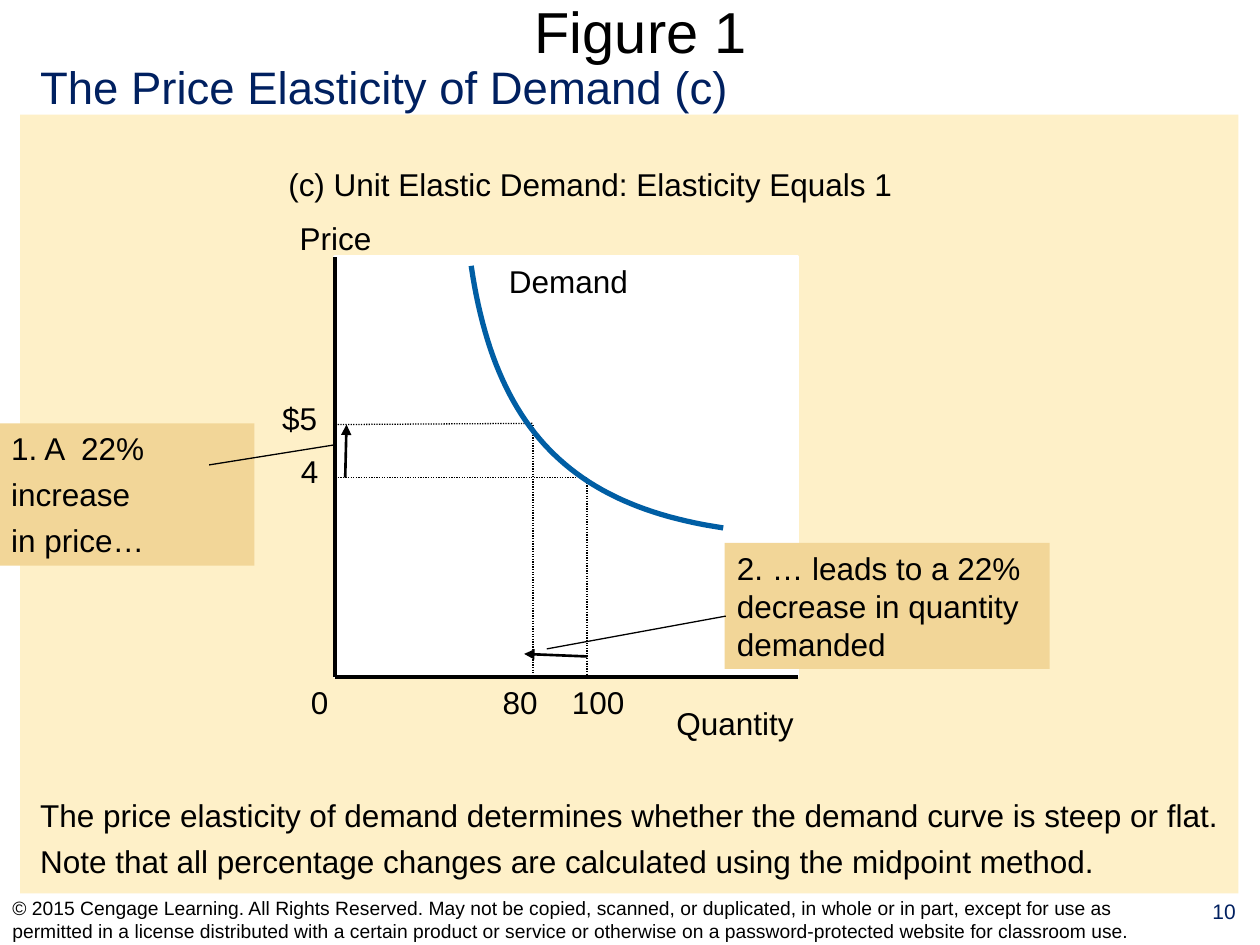
from lxml.etree import SubElement
from pptx import Presentation
from pptx.dml.color import RGBColor
from pptx.enum.dml import MSO_LINE_DASH_STYLE as Dash
from pptx.enum.shapes import MSO_CONNECTOR as Connector, MSO_SHAPE as Shape
from pptx.enum.text import MSO_ANCHOR as Anchor, PP_ALIGN as Align
from pptx.oxml.ns import qn
from pptx.util import Inches, Pt

COLORS = {
    "panel": "FEF0C8", "callout": "F2D698", "plot": "FFFFFF",
    "ink": "000000", "navy": "002060", "curve": "005EA4",
}

presentation = Presentation()
presentation.slide_width, presentation.slide_height = Inches(10), Inches(7.5)
slide = presentation.slides.add_slide(presentation.slide_layouts[6])
shapes = slide.shapes
column = presentation.slide_width / 100
row = presentation.slide_height / 75


def place(x, y):
    return round(x * column), round(y * row)


def write(shape, lines, size=18, color="ink", align=Align.LEFT, anchor=Anchor.TOP, wrap=False):
    frame = shape.text_frame
    frame_format = {
        "word_wrap": wrap, "vertical_anchor": anchor,
        "margin_left": Inches(0.1), "margin_right": Inches(0.1),
        "margin_top": Inches(0.05), "margin_bottom": Inches(0.05),
    }
    for name, value in frame_format.items():
        setattr(frame, name, value)
    for index, line in enumerate(lines):
        paragraph = frame.add_paragraph() if index else frame.paragraphs[0]
        paragraph.alignment = align
        if index:
            paragraph.space_before = Pt(4.5)
        run = paragraph.add_run()
        run.text = line
        for name, value in {"name": "Arial", "size": Pt(size)}.items():
            setattr(run.font, name, value)
        run.font.color.rgb = RGBColor.from_string(COLORS[color])


origin_x, origin_y = 26.6, 53.7
axis_top, axis_right = 20.4, 63.3
price_high, price_low = 33.7, 37.9
quantity_low, quantity_high = 42.3, 46.6

blocks = [
    ("panel", 1.6, 9.1, 96.7, 61.8, []),
    ("plot", origin_x, axis_top, axis_right - origin_x, origin_y - axis_top, []),
    ("callout", -0.1, 33.6, 20.3, 11.3, ["1. A  22%", "increase", "in price…"]),
    ("callout", 57.5, 43.1, 25.8, 10, ["2. … leads to a 22% decrease in quantity demanded"]),
]
for color, x, y, width, height, lines in blocks:
    block = shapes.add_shape(Shape.RECTANGLE, *place(x, y), *place(width, height))
    block.shadow.inherit = False
    block.fill.solid()
    block.fill.fore_color.rgb = RGBColor.from_string(COLORS[color])
    block.line.fill.background()
    if color == "plot":
        block.line.color.rgb = RGBColor.from_string(COLORS[color])
        block.line.width = Pt(2)
    if lines:
        write(block, lines, wrap=True)

line_styles = {
    "axis": (2.25, None, False),
    "guide": (0.75, Dash.ROUND_DOT, False),
    "leader": (0.75, None, False),
    "arrow": (1.5, None, True),
}
lines = [
    ("axis", origin_x, axis_top, origin_x, origin_y),
    ("axis", origin_x, origin_y, axis_right, origin_y),
    ("guide", origin_x, price_high, quantity_low, price_high - 0.1),
    ("guide", origin_x, price_low, quantity_high, price_low),
    ("guide", quantity_low, price_high, quantity_low, origin_y),
    ("guide", quantity_high, price_low, quantity_high, origin_y),
    ("leader", 16.6, 36.9, origin_x, 35.3),
    ("leader", 43.4, 51.5, 57.6, 48.9),
    ("arrow", 27.4, price_low, 27.5, price_high),
    ("arrow", quantity_high, 52.1, 41.6, 51.9),
]
for style, start_x, start_y, end_x, end_y in lines:
    width, dash, arrowhead = line_styles[style]
    connector = shapes.add_connector(
        Connector.STRAIGHT, *place(start_x, start_y), *place(end_x, end_y))
    connector.line.color.rgb = RGBColor.from_string(COLORS["ink"])
    for name, value in {"width": Pt(width), "dash_style": dash}.items():
        setattr(connector.line, name, value)
    if arrowhead:
        SubElement(connector.line._get_or_add_ln(), qn("a:tailEnd"), type="triangle")
    SubElement(connector._element.spPr, qn("a:effectLst"))

controls = [(37.4, 21.1), (39.3, 34), (45.3, 40.1), (57.4, 41.9)]
weights = (1, 3, 3, 1)
steps = 48
points = []
for step in range(steps + 1):
    t = step / steps
    shares = [weight * t**power * (1 - t)**(3 - power) for power, weight in enumerate(weights)]
    points.append(place(*(sum(share * point[axis] for share, point in zip(shares, controls))
                          for axis in (0, 1))))
builder = shapes.build_freeform(*points[0])
builder.add_line_segments(points[1:], close=False)
demand_curve = builder.convert_to_shape()
demand_curve.shadow.inherit = False
demand_curve.fill.background()
demand_curve.line.color.rgb = RGBColor.from_string(COLORS["curve"])
demand_curve.line.width = Pt(3)

labels = [
    ("Price", 22.8, 16.9, 8.4),
    ("Quantity", 52.7, 55.4, 12),
    ("Demand", 39.4, 20.3, 12.1),
    ("$5", 21.4, 31.2, 5),
    ("4", 22.9, 35.4, 3.6),
    ("0", 23.7, origin_y, 3.6),
    ("80", 38.9, origin_y, 5),
    ("100", 44.4, origin_y, 7),
]
texts = [([label], x, y, width, 4, {}) for label, x, y, width in labels] + [
    (["Figure 1"], 3.5, 0, 94.7, 4.9,
     {"size": 33, "align": Align.CENTER, "anchor": Anchor.MIDDLE, "wrap": True}),
    (["The Price Elasticity of Demand (c)"], 2.2, 4.2, 60, 5.4, {"size": 26, "color": "navy"}),
    (["(c) Unit Elastic Demand: Elasticity Equals 1"], 21.9, 12.6, 51.4, 4, {"wrap": True}),
    (["The price elasticity of demand determines whether the demand curve is steep or flat.",
      "Note that all percentage changes are calculated using the midpoint method."],
     2.2, 62.7, 96.5, 7.7, {}),
    (["© 2015 Cengage Learning. All Rights Reserved. May not be copied, scanned, or duplicated, "
      "in whole or in part, except for use as permitted in a license distributed with a certain "
      "product or service or otherwise on a password-protected website for classroom use."],
     0, 71, 94.2, 4, {"size": 11, "anchor": Anchor.MIDDLE, "wrap": True}),
    (["10"], 94.3, 70.8, 5.7, 4.1,
     {"size": 12, "color": "navy", "align": Align.CENTER, "wrap": True}),
]
for content, x, y, width, height, text_format in texts:
    box = shapes.add_textbox(*place(x, y), *place(width, height))
    write(box, content, **text_format)

presentation.save("out.pptx")
